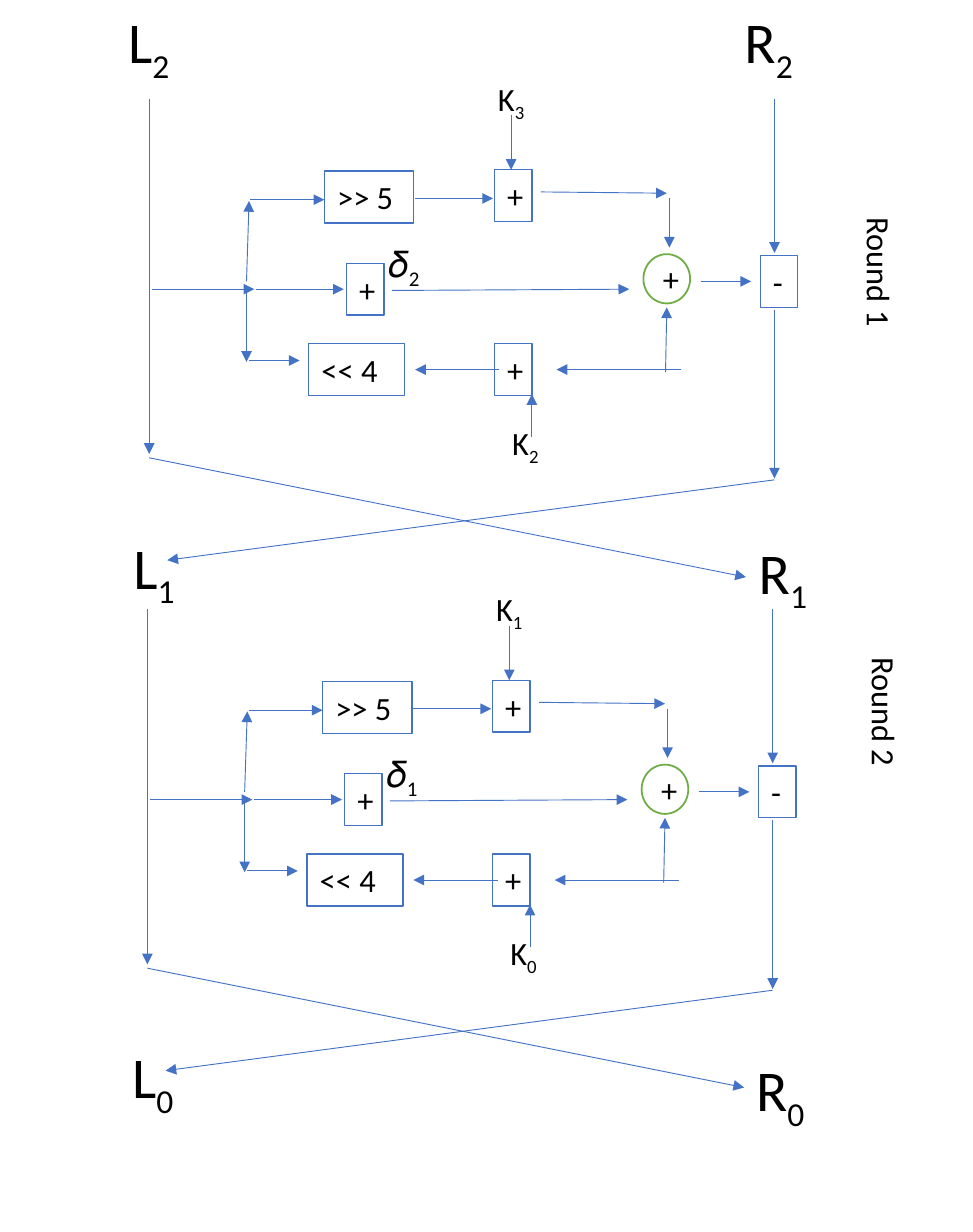
from pptx import Presentation
from pptx.dml.color import RGBColor
from pptx.enum.shapes import MSO_CONNECTOR, MSO_SHAPE
from pptx.enum.text import MSO_ANCHOR, MSO_AUTO_SIZE, PP_ALIGN
from pptx.oxml.ns import qn
from pptx.util import Inches, Pt
from lxml.etree import SubElement

BLUE = RGBColor(0x44, 0x72, 0xC4)
GREEN = RGBColor(0x70, 0xAD, 0x47)
BLACK = RGBColor(0, 0, 0)
WHITE = RGBColor(255, 255, 255)

# Half-block labels: letter, subscript, left, top, width
HALVES = [
    ("L", "2", 0.89, 0, 0.56), ("R", "2", 5.64, 0, 0.65),
    ("L", "1", 0.93, 4.05, 0.56), ("R", "1", 5.75, 4.09, 0.65),
    ("L", "0", 0.92, 7.98, 0.56), ("R", "0", 5.73, 8.08, 0.65),
]

# Rounds: x shift, y shift, upper key, lower key, delta subscript
ROUNDS = [(0, 0, "3", "2", "2"), (-0.014, 3.936, "1", "0", "1")]
ROUND_LABELS = [("Round 1", 6.22, 1.94), ("Round 2", 6.26, 5.33)]

# Operations of one round: text, left, top, width
OPERATIONS = [
    (">> 5", 2.5, 1.32, 0.69), ("<< 4", 2.38, 2.65, 0.74),
    ("+", 3.81, 1.31, 0.29), ("+", 3.81, 2.65, 0.29),
    ("+", 2.67, 2.03, 0.29), ("-", 5.86, 1.97, 0.29),
]
SUM_CIRCLE = (4.96, 1.96, 0.36, 0.38)

# Arrows of one round: start x, start y, end x, end y
ARROWS = [
    # Left and right halves, and the swap
    (1.15, 0.76, 1.15, 3.5), (5.97, 0.76, 5.97, 1.95),
    (5.97, 2.39, 5.97, 3.69),
    (1.15, 3.53, 5.75, 4.45), (5.97, 3.7, 1.29, 4.32),
    # Branch from the left half
    (1.17, 2.23, 1.96, 2.23), (1.97, 2.23, 2.65, 2.23),
    (1.9, 2.17, 1.92, 1.55), (1.93, 1.54, 2.5, 1.54),
    (1.9, 2.24, 1.9, 2.79), (1.92, 2.78, 2.31, 2.78),
    # Upper, middle and lower paths
    (3.2, 1.53, 3.8, 1.53), (4.17, 1.48, 5.14, 1.49),
    (5.16, 1.53, 5.16, 1.91), (3.02, 2.24, 4.85, 2.23),
    (5.25, 2.85, 4.29, 2.85), (3.85, 2.85, 3.2, 2.85),
    (5.13, 2.87, 5.14, 2.37), (5.4, 2.17, 5.79, 2.17),
    # Keys
    (3.94, 0.89, 3.94, 1.31), (4.1, 3.37, 4.1, 3.04),
]

presentation = Presentation()
presentation.slide_width = Inches(7.5)
presentation.slide_height = Inches(9.5)
slide = presentation.slides.add_slide(presentation.slide_layouts[6])


def write_text(shape, text, subscript="", size=18, align=PP_ALIGN.LEFT,
               anchor=MSO_ANCHOR.TOP, auto_size=MSO_AUTO_SIZE.SHAPE_TO_FIT_TEXT):
    frame = shape.text_frame
    frame.word_wrap = True
    frame.auto_size = auto_size
    frame.vertical_anchor = anchor
    paragraph = frame.paragraphs[0]
    paragraph.alignment = align
    for part, baseline in ((text, None), (subscript, "-25000")):
        if not part:
            continue
        run = paragraph.add_run()
        run.text = part
        run.font.name = "Calibri"
        run.font.size = Pt(size)
        run.font.color.rgb = BLACK
        if baseline:
            run._r.get_or_add_rPr().set("baseline", baseline)


def add_label(text, left, top, width, height, rotation=0, **text_format):
    label = slide.shapes.add_textbox(Inches(left), Inches(top), Inches(width), Inches(height))
    label.rotation = rotation
    write_text(label, text, **text_format)


def add_node(kind, text, left, top, width, height, color, weight, fill=None, **text_format):
    node = slide.shapes.add_shape(kind, Inches(left), Inches(top), Inches(width), Inches(height))
    node.shadow.inherit = False
    if fill is None:
        node.fill.background()
    else:
        node.fill.solid()
        node.fill.fore_color.rgb = fill
    node.line.color.rgb = color
    node.line.width = Pt(weight)
    write_text(node, text, **text_format)


def add_arrow(x1, y1, x2, y2):
    arrow = slide.shapes.add_connector(
        MSO_CONNECTOR.STRAIGHT, Inches(x1), Inches(y1), Inches(x2), Inches(y2))
    arrow.line.color.rgb = BLUE
    arrow.line.width = Pt(0.5)
    SubElement(arrow.line._get_or_add_ln(), qn("a:tailEnd"), type="triangle")
    SubElement(arrow._element.spPr, qn("a:effectLst"))


# Both rounds share one layout
for dx, dy, upper_key, lower_key, delta in ROUNDS:
    for x1, y1, x2, y2 in ARROWS:
        add_arrow(x1 + dx, y1 + dy, x2 + dx, y2 + dy)
    for text, left, top, width in OPERATIONS:
        add_node(MSO_SHAPE.RECTANGLE, text, left + dx, top + dy, width, 0.4, BLUE, 0.75)
    left, top, width, height = SUM_CIRCLE
    add_node(MSO_SHAPE.OVAL, "+", left + dx, top + dy, width, height, GREEN, 1, fill=WHITE,
             align=PP_ALIGN.CENTER, anchor=MSO_ANCHOR.MIDDLE, auto_size=MSO_AUTO_SIZE.NONE)
    add_label("K", 3.74 + dx, 0.56 + dy, 0.44, 0.4, subscript=upper_key)
    add_label("K", 3.85 + dx, 3.21 + dy, 0.44, 0.4, subscript=lower_key)
    add_label("𝛿", 2.9 + dx, 1.81 + dy, 0.54, 0.44, subscript=delta, size=20)

# Half-block and round labels
for letter, subscript, left, top, width in HALVES:
    add_label(letter, left, top, width, 0.64, subscript=subscript, size=32)
for text, left, top in ROUND_LABELS:
    add_label(text, left, top, 1.12, 0.4, rotation=90)

presentation.save("out.pptx")
